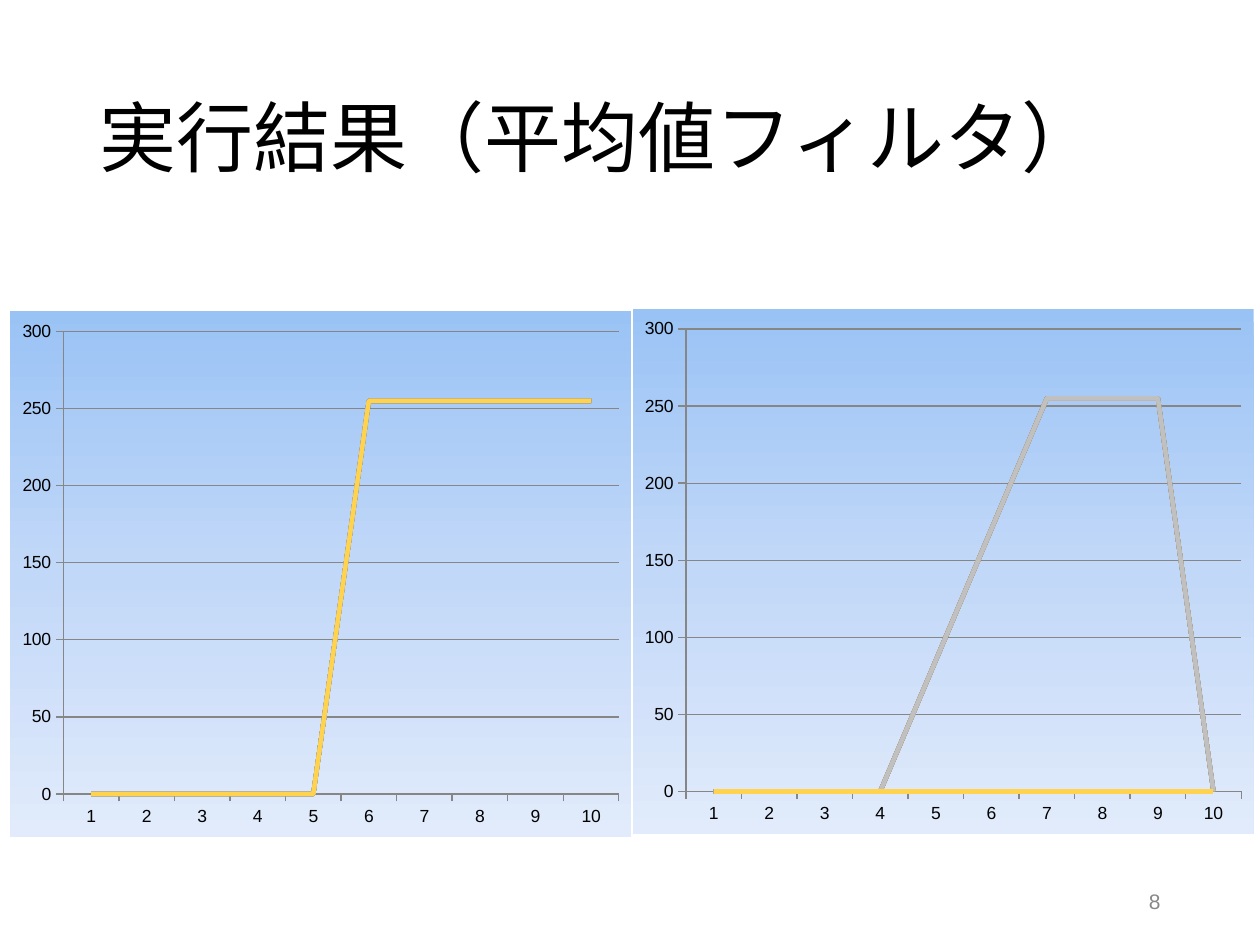
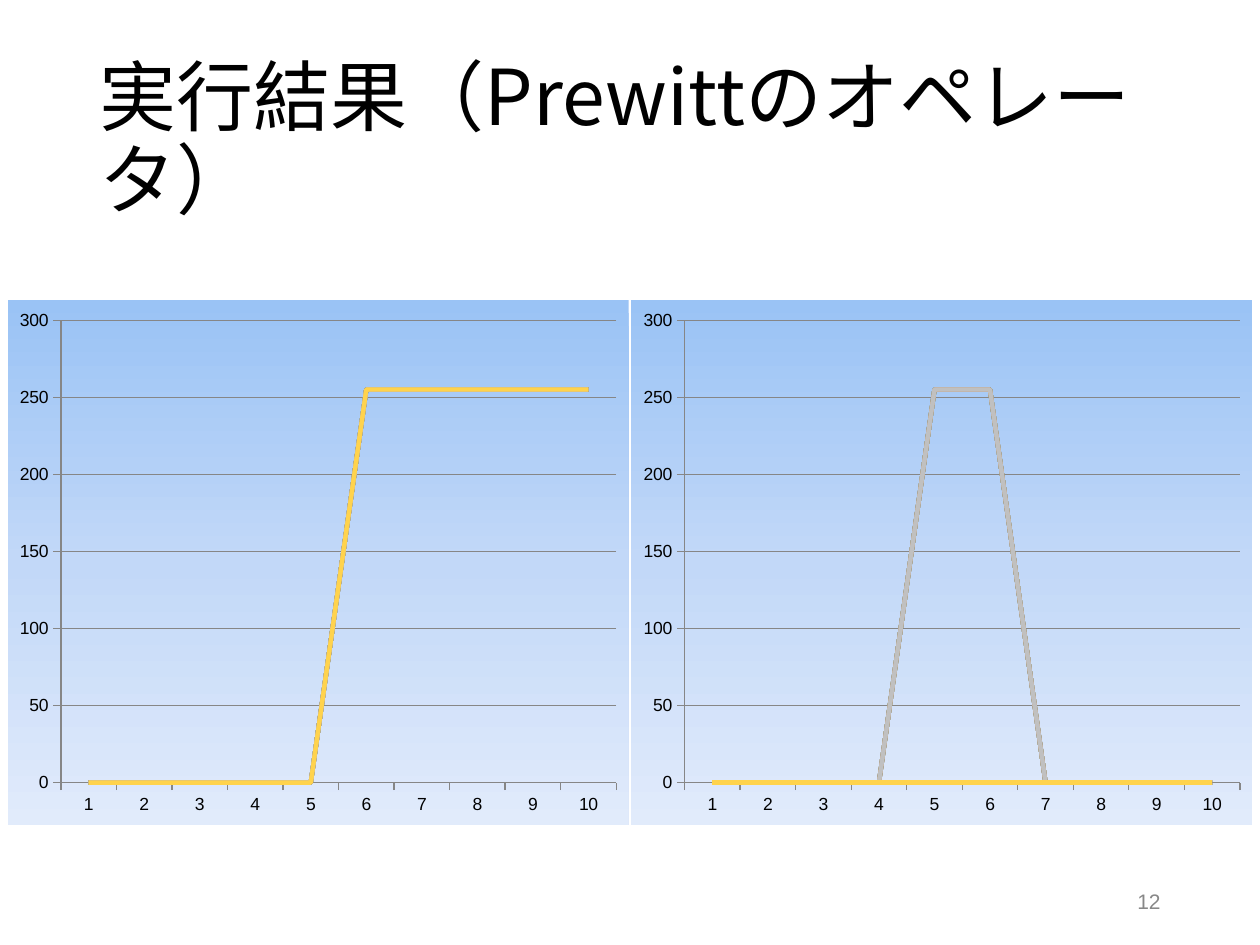
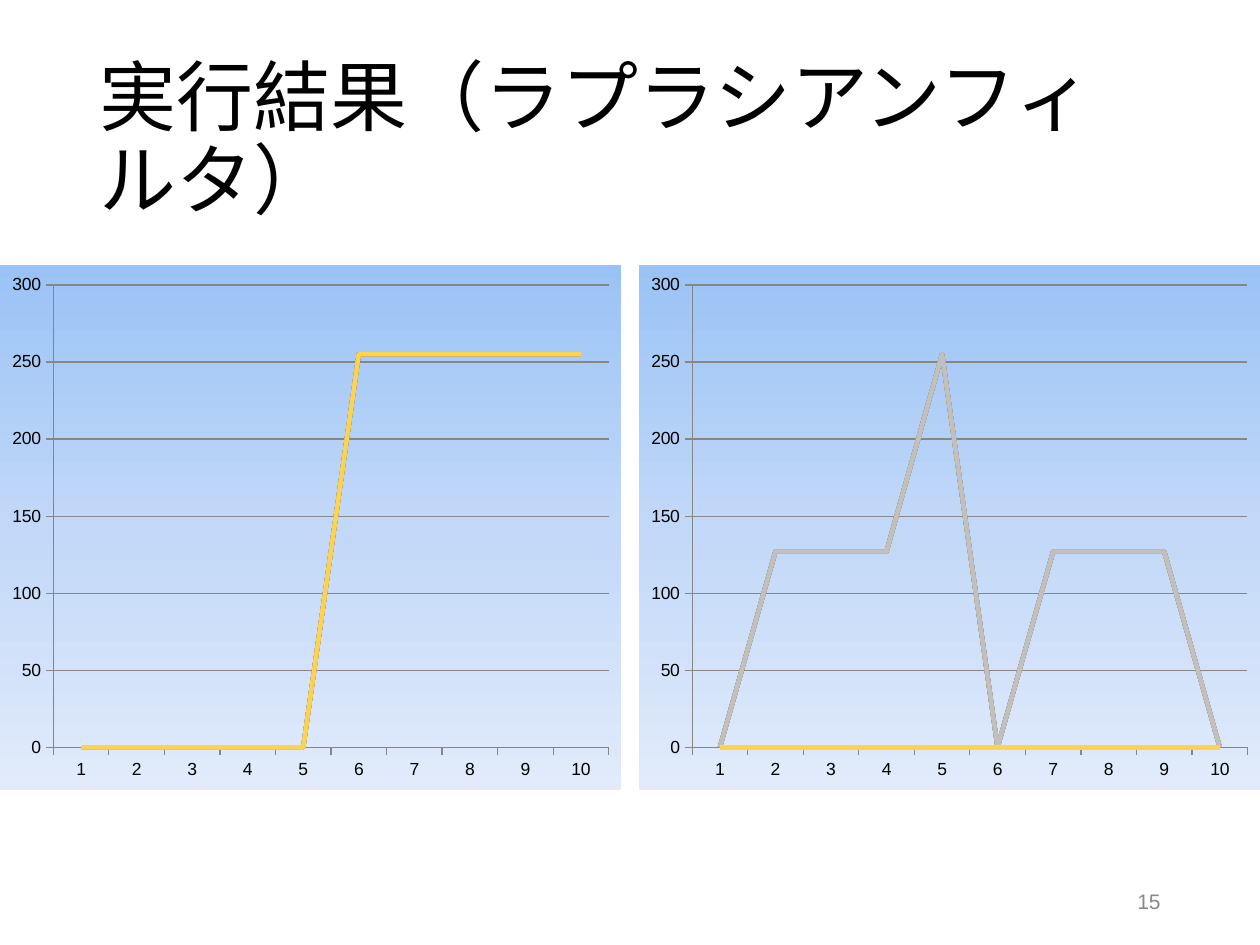
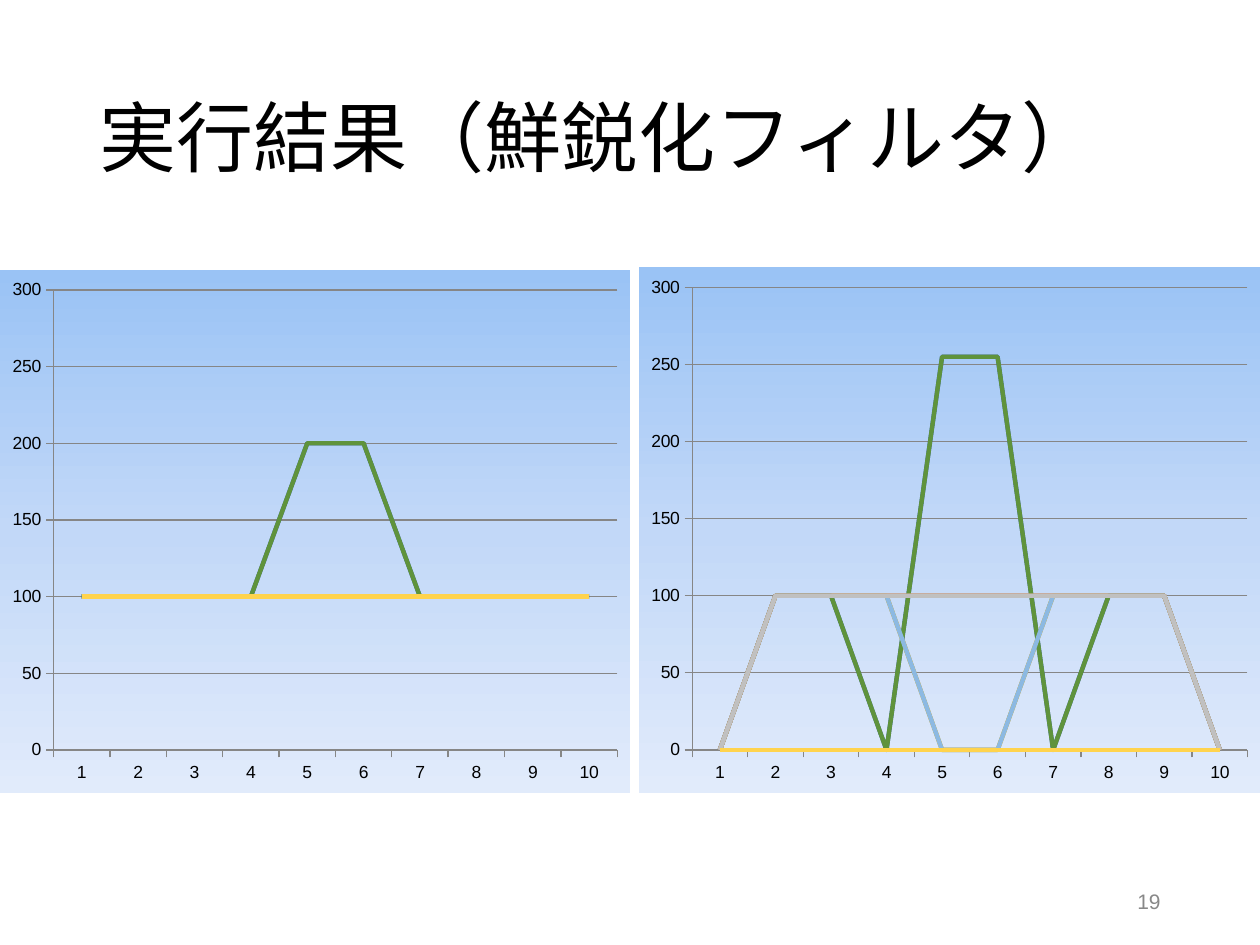
from lxml.etree import SubElement
from pptx import Presentation
from pptx.chart.data import CategoryChartData
from pptx.dml.color import RGBColor
from pptx.enum.chart import XL_CHART_TYPE, XL_TICK_MARK
from pptx.enum.text import MSO_ANCHOR, MSO_AUTO_SIZE, PP_ALIGN
from pptx.oxml import parse_xml
from pptx.oxml.ns import nsdecls, qn
from pptx.util import Inches, Pt

HUES = {
    "text": "000000", "page": "888888", "grid": "868686",
    "top": "9AC3F5", "mid": "C2D8F8", "low": "E1EBFB",
    "blue": "5B9BD5", "red": "ED7D31", "gray": "A5A5A5",
    "gold": "FFC000", "navy": "4472C4", "green": "70AD47",
}
CYCLE = ["blue", "red", "gray", "gold", "navy", "green"]
FONTS = {"title": "Noto Sans CJK JP", "plain": "Arial"}
FRAME = {
    "word_wrap": True, "auto_size": MSO_AUTO_SIZE.NONE,
    "vertical_anchor": MSO_ANCHOR.MIDDLE,
    "margin_left": Inches(0.1), "margin_right": Inches(0.1),
    "margin_top": Inches(0.05), "margin_bottom": Inches(0.05),
}
HEAD = (0.69, 0.4, 8.62, 1.45)
FOOT = (7.06, 6.95, 2.25, 0.4)
SIZE = (4.93, 4.17)

STEP = [[0] * 5 + [255] * 5] * 10
ZERO = [0] * 10
FLAT = [100] * 10
PEAK = [100] * 4 + [200] * 2 + [100] * 4
EDGE = [0] + [100] * 8 + [0]
DIP = [0] + [100] * 3 + [0] * 2 + [100] * 3 + [0]
SHARP = [0, 100, 100, 0, 255, 255, 0, 100, 100, 0]


def wrap(row):
    return [ZERO] + [row] * 8 + [ZERO]


MEAN = wrap([0, 0, 0, 0, 85, 170, 255, 255, 255, 0])
PREW = wrap([0] * 4 + [255] * 2 + [0] * 4)
LAPL = wrap([0, 127, 127, 127, 255, 0, 127, 127, 127, 0])
HILL = [FLAT] * 4 + [PEAK] * 2 + [FLAT] * 4
CRISP = [ZERO, EDGE, EDGE, DIP, SHARP, SHARP, DIP, EDGE, EDGE, ZERO]

SLIDES = [
    ("実行結果（平均値フィルタ）", "8",
     [((0.08, 2.47, *SIZE), STEP), ((5.02, 2.45, *SIZE), MEAN)]),
    ("実行結果（Prewittのオペレータ）", "12",
     [((5.01, 2.38, *SIZE), PREW), ((0.06, 2.38, *SIZE), STEP)]),
    ("実行結果（ラプラシアンフィルタ）", "15",
     [((5.07, 2.1, *SIZE), LAPL), ((0, 2.1, *SIZE), STEP)]),
    ("実行結果（鮮鋭化フィルタ）", "19",
     [((5.07, 2.12, *SIZE), CRISP), ((0, 2.14, 5, 4.15), HILL)]),
]


def apply(item, look):
    for name, value in look.items():
        setattr(item, name, value)


def tint(name):
    return RGBColor.from_string(HUES[name])


def place(shape, box):
    names = ("left", "top", "width", "height")
    apply(shape, dict(zip(names, map(Inches, box))))


def write(shape, box, text, para, font, hue):
    place(shape, box)
    frame = shape.text_frame
    apply(frame, FRAME)
    line = frame.paragraphs[0]
    apply(line, para)
    run = line.add_run()
    run.text = text
    apply(run.font, font)
    run.font.color.rgb = tint(hue)
    for prop in shape.element.iter(qn("a:rPr")):
        SubElement(prop, qn("a:ea"), typeface=font["name"])


def add_head(slide, box, text):
    write(slide.shapes.title, box, text,
          {"alignment": PP_ALIGN.LEFT, "line_spacing": 0.9},
          {"name": FONTS["title"], "size": Pt(44)}, "text")


def add_page(slide, box, text):
    shape = slide.shapes.add_textbox(*map(Inches, box))
    write(shape, box, text, {"alignment": PP_ALIGN.RIGHT},
          {"name": FONTS["plain"], "size": Pt(12)}, "page")


def shade(chart):
    stops = "".join(
        f'<a:gs pos="{pos}"><a:srgbClr val="{HUES[name]}"/></a:gs>'
        for pos, name in ((0, "top"), (50000, "mid"), (100000, "low")))
    fill = parse_xml(
        f'<c:spPr {nsdecls("c", "a")}><a:gradFill><a:gsLst>{stops}</a:gsLst>'
        '<a:lin ang="5400000" scaled="0"/></a:gradFill>'
        '<a:ln><a:noFill/></a:ln></c:spPr>')
    chart.element.find(qn("c:txPr")).addprevious(fill)


def rule(line):
    line.color.rgb = tint("grid")
    line.width = Pt(0.75)


def add_plot(slide, box, rows):
    data = CategoryChartData()
    data.categories = [str(num) for num in range(1, 11)]
    for num, row in enumerate(rows, 1):
        data.add_series(f"Series {num}", row)
    chart = slide.shapes.add_chart(
        XL_CHART_TYPE.LINE, *map(Inches, box), data).chart
    apply(chart, {"has_legend": False, "has_title": False})
    apply(chart.font, {"name": FONTS["plain"], "size": Pt(10)})
    chart.font.color.rgb = tint("text")
    shade(chart)
    chart.plots[0].vary_by_categories = False
    for axis in (chart.category_axis, chart.value_axis):
        axis.major_tick_mark = XL_TICK_MARK.OUTSIDE
        rule(axis.format.line)
    apply(chart.value_axis, {"minimum_scale": 0, "maximum_scale": 300,
                             "major_unit": 50, "has_major_gridlines": True})
    rule(chart.value_axis.major_gridlines.format.line)
    for num, series in enumerate(chart.plots[0].series):
        series.smooth = False
        line = series.format.line
        line.width = Pt(2.5)
        line.color.rgb = tint(CYCLE[num % len(CYCLE)])
        line.color.brightness = -0.15 if num < len(CYCLE) else 0.3


def main():
    deck = Presentation()
    apply(deck, {"slide_width": Inches(10), "slide_height": Inches(7.5)})
    for title, page, plots in SLIDES:
        slide = deck.slides.add_slide(deck.slide_layouts[5])
        add_head(slide, HEAD, title)
        add_page(slide, FOOT, page)
        for box, rows in plots:
            add_plot(slide, box, rows)
    deck.save("out.pptx")


if __name__ == "__main__":
    main()
